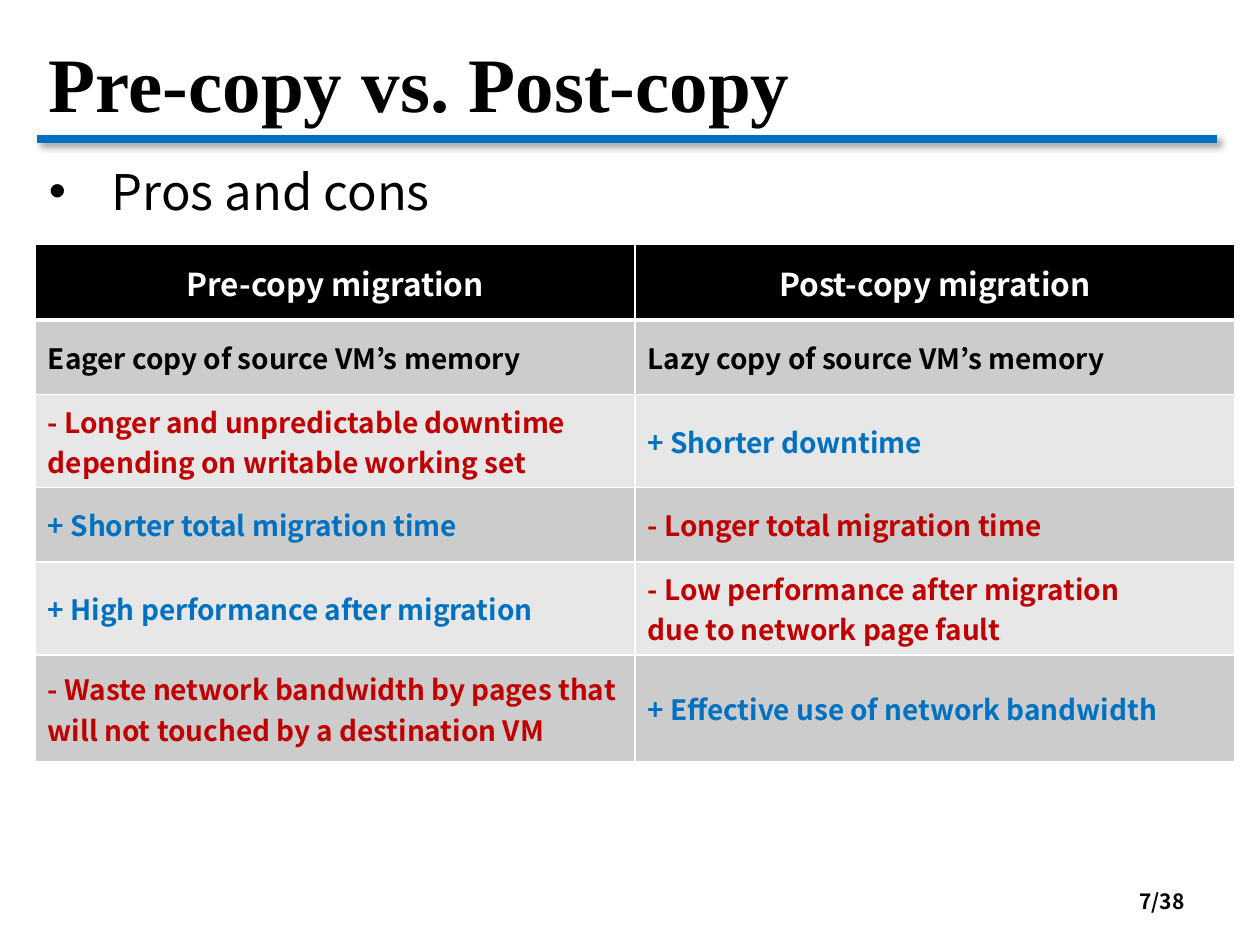
from dataclasses import dataclass

from lxml import etree
from pptx import Presentation
from pptx.dml.color import RGBColor
from pptx.enum.shapes import MSO_CONNECTOR
from pptx.enum.text import MSO_ANCHOR, PP_ALIGN
from pptx.oxml.ns import qn
from pptx.slide import Slide
from pptx.table import _Cell
from pptx.text.text import TextFrame
from pptx.util import Inches, Pt

STRAIGHT = MSO_CONNECTOR.STRAIGHT
TOP, MIDDLE = MSO_ANCHOR.TOP, MSO_ANCHOR.MIDDLE
LEFT, CENTER, RIGHT = PP_ALIGN.LEFT, PP_ALIGN.CENTER, PP_ALIGN.RIGHT

BLACK = RGBColor(0x00, 0x00, 0x00)
WHITE = RGBColor(0xFF, 0xFF, 0xFF)
BLUE = RGBColor(0x00, 0x70, 0xC0)
RED = RGBColor(0xC0, 0x00, 0x00)
DARK_BAND = RGBColor(0xCC, 0xCC, 0xCC)
LIGHT_BAND = RGBColor(0xE7, 0xE7, 0xE7)

SANS = "Noto Sans CJK KR"
SERIF = "Times New Roman"


@dataclass(frozen=True)
class Style:
    size: float
    color: RGBColor = BLACK
    bold: bool = True
    font: str = SANS
    align: PP_ALIGN = LEFT


@dataclass(frozen=True)
class TextBlock:
    text: str
    left: float
    top: float
    width: float
    height: float
    style: Style
    anchor: MSO_ANCHOR = MIDDLE


TITLE = TextBlock("Pre-copy vs. Post-copy", 0.29, 0.14, 9.37, 1.01,
                  Style(44, font=SERIF))
TOPIC = TextBlock("Pros and cons", 0.29, 1.23, 9.37, 5.51,
                  Style(28, bold=False), TOP)
PAGE_NUMBER = TextBlock("7/38", 7.17, 6.95, 2.33, 0.4,
                        Style(12, align=RIGHT))

HEADINGS = ("Pre-copy migration", "Post-copy migration")
COMPARISONS = (
    ("Eager copy of source VM’s memory", "Lazy copy of source VM’s memory"),
    ("- Longer and unpredictable downtime depending on writable working set",
     "+ Shorter downtime"),
    ("+ Shorter total migration time", "- Longer total migration time"),
    ("+ High performance after migration",
     "- Low performance after migration\ndue to network page fault"),
    ("- Waste network bandwidth by pages that will not touched by a destination VM",
     "+ Effective use of network bandwidth"),
)
ROW_HEIGHTS = (0.6, 0.59, 0.74, 0.59, 0.74, 0.85)
COLUMN_WIDTH = 4.76
VERDICT_COLORS = {"+": BLUE, "-": RED}


def write_text(frame: TextFrame, text: str, style: Style) -> None:
    frame.text = text
    for para in frame.paragraphs:
        para.alignment = style.align
        for span in para.runs:
            span.font.name = style.font
            span.font.size = Pt(style.size)
            span.font.bold = style.bold
            span.font.color.rgb = style.color


def add_text(page: Slide, block: TextBlock) -> TextFrame:
    box = page.shapes.add_textbox(Inches(block.left), Inches(block.top),
                                  Inches(block.width), Inches(block.height))
    frame = box.text_frame
    frame.word_wrap = True
    frame.vertical_anchor = block.anchor
    write_text(frame, block.text, block.style)
    return frame


def add_bullet(frame: TextFrame) -> None:
    properties = frame.paragraphs[0]._p.get_or_add_pPr()
    properties.set("marL", str(Inches(0.5)))
    properties.set("indent", str(-Inches(0.5)))
    etree.SubElement(properties, qn("a:buFont"), typeface="Arial")
    etree.SubElement(properties, qn("a:buChar"), char="•")


def add_title_rule(page: Slide) -> None:
    rule = page.shapes.add_connector(STRAIGHT, Inches(0.29), Inches(1.1),
                                     Inches(9.66), Inches(1.1))
    rule.line.color.rgb = BLUE
    rule.line.width = Pt(4.5)
    effects = etree.SubElement(rule._element.spPr, qn("a:effectLst"))
    shadow = etree.SubElement(effects, qn("a:outerShdw"), blurRad=str(Pt(4)),
                              dist=str(Pt(3)), dir=str(45 * 60000),
                              algn="tl", rotWithShape="0")
    color = etree.SubElement(shadow, qn("a:srgbClr"), val=str(BLACK))
    etree.SubElement(color, qn("a:alpha"), val="40000")


def set_borders(cell: _Cell, top: float, bottom: float) -> None:
    properties = cell._tc.get_or_add_tcPr()
    widths = {"a:lnL": 1, "a:lnR": 1, "a:lnT": top, "a:lnB": bottom}
    for index, (side, width) in enumerate(widths.items()):
        border = etree.Element(qn(side), w=str(Pt(width)))
        fill = etree.SubElement(border, qn("a:solidFill"))
        etree.SubElement(fill, qn("a:srgbClr"), val=str(WHITE))
        properties.insert(index, border)


def add_comparison(page: Slide) -> None:
    rows = (HEADINGS, *COMPARISONS)
    table = page.shapes.add_table(
        len(rows), len(HEADINGS), Inches(0.28), Inches(1.94),
        Inches(COLUMN_WIDTH * len(HEADINGS)), Inches(sum(ROW_HEIGHTS))).table
    for column in table.columns:
        column.width = Inches(COLUMN_WIDTH)
    for row_index, texts in enumerate(rows):
        table.rows[row_index].height = Inches(ROW_HEIGHTS[row_index])
        is_heading = row_index == 0
        band = DARK_BAND if row_index % 2 else LIGHT_BAND
        for column_index, text in enumerate(texts):
            cell = table.cell(row_index, column_index)
            cell.vertical_anchor = MIDDLE
            cell.fill.solid()
            cell.fill.fore_color.rgb = BLACK if is_heading else band
            set_borders(cell, top=3 if row_index == 1 else 1,
                        bottom=3 if is_heading else 1)
            if is_heading:
                style = Style(18, WHITE, align=CENTER)
            else:
                style = Style(16, VERDICT_COLORS.get(text[0], BLACK))
            write_text(cell.text_frame, text, style)


def main() -> None:
    deck = Presentation()
    deck.slide_width = Inches(10)
    deck.slide_height = Inches(7.5)
    page = deck.slides.add_slide(deck.slide_layouts[6])
    add_title_rule(page)
    add_text(page, TITLE)
    add_bullet(add_text(page, TOPIC))
    add_comparison(page)
    add_text(page, PAGE_NUMBER)
    deck.save("out.pptx")


if __name__ == "__main__":
    main()
